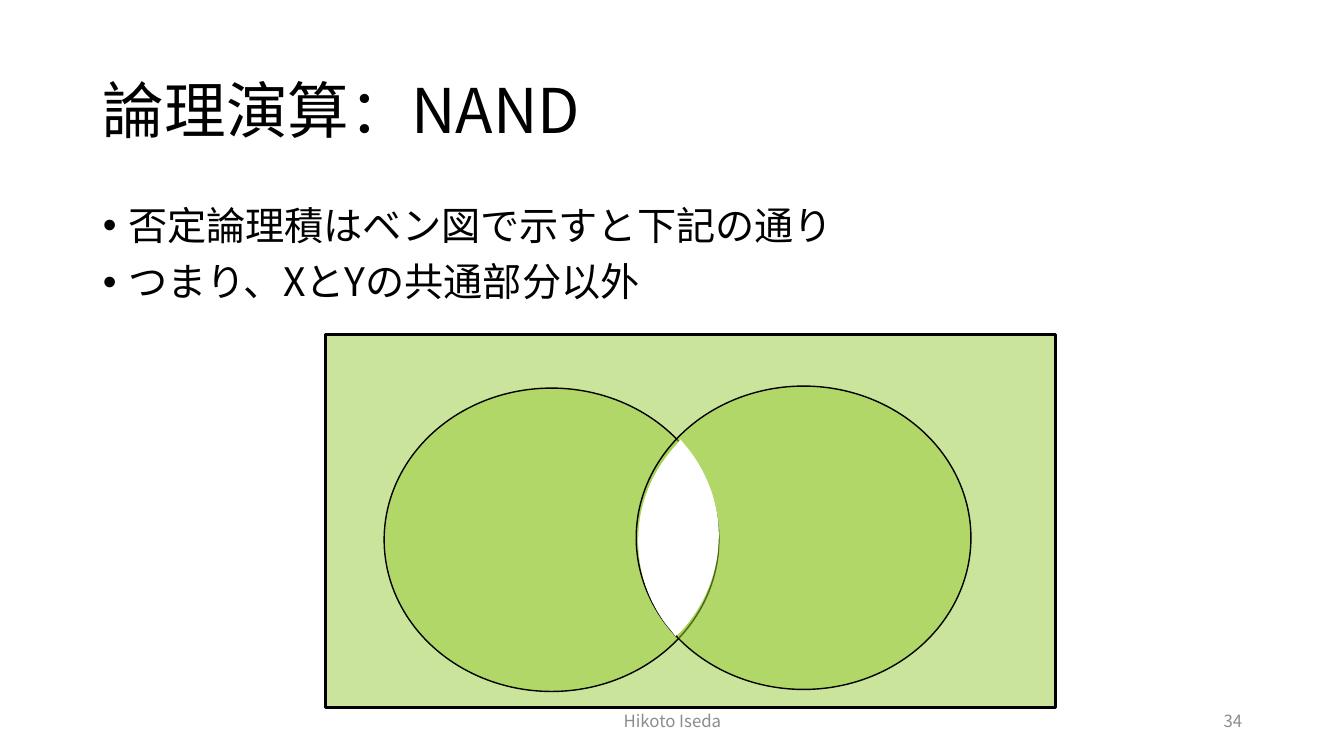
from dataclasses import dataclass

from lxml import etree
from pptx import Presentation
from pptx.dml.color import RGBColor
from pptx.enum.shapes import MSO_SHAPE
from pptx.enum.text import MSO_ANCHOR, MSO_AUTO_SIZE, PP_ALIGN
from pptx.oxml.ns import qn
from pptx.util import Inches, Pt

TITLE = "論理演算：NAND"
TITLE_BOX = (0.92, 0.4, 11.5, 1.45)
POINTS = ["否定論理積はベン図で示すと下記の通り", "つまり、XとYの共通部分以外"]
POINTS_BOX = (0.92, 2, 11.5, 4.76)
FOOTERS = [
    ("Hikoto Iseda", (4.42, 6.95, 4.5, 0.4), PP_ALIGN.CENTER),
    ("34", (9.42, 6.95, 3, 0.4), PP_ALIGN.RIGHT),
]
VENN = [
    (MSO_SHAPE.RECTANGLE, (3.23, 3.32, 7.24, 3.7), 2.25),
    (MSO_SHAPE.OVAL, (3.81, 3.85, 3.32, 3.01), 1),
    (MSO_SHAPE.OVAL, (6.31, 3.83, 3.32, 3.01), 1),
]
# Each side of the overlap: a straight start, then two Bezier curves
OVERLAP_SIDES = [
    [(6.75, 4.36), (6.84, 4.47), (7.02, 4.71), (7.13, 5), (7.13, 5.31),
     (7.13, 5.67), (6.99, 6.01), (6.75, 6.27)],
    [(6.7, 6.31), (6.61, 6.2), (6.43, 5.96), (6.33, 5.67), (6.33, 5.36),
     (6.33, 5), (6.47, 4.67), (6.71, 4.41)],
]
CURVE_STEPS = 16


@dataclass(frozen=True)
class Theme:
    font: str = "Noto Sans CJK JP"
    ink: RGBColor = RGBColor(0, 0, 0)
    muted: RGBColor = RGBColor(0x8C, 0x8C, 0x8C)
    green: RGBColor = RGBColor(0x99, 0xCB, 0x38)
    white: RGBColor = RGBColor(255, 255, 255)
    green_opacity: int = 50
    title_size: int = 44
    point_size: int = 28
    footer_size: int = 12


THEME = Theme()


def place(shape, box):
    shape.left, shape.top, shape.width, shape.height = map(Inches, box)


def prepare_frame(shape, anchor):
    frame = shape.text_frame
    frame.word_wrap = True
    frame.auto_size = MSO_AUTO_SIZE.NONE
    frame.vertical_anchor = anchor
    return frame


def add_text(paragraph, text, size, color):
    run = paragraph.add_run()
    run.text = text
    run.font.name = THEME.font
    run.font.size = Pt(size)
    run.font.color.rgb = color
    latin = run.font._element.find(qn("a:latin"))
    east_asian = etree.Element(qn("a:ea"), typeface=THEME.font)
    latin.addnext(east_asian)


def add_bullet(paragraph):
    properties = paragraph._p.get_or_add_pPr()
    properties.set("marL", str(Inches(0.25)))
    properties.set("indent", str(Inches(-0.25)))
    etree.SubElement(properties, qn("a:buFont"), typeface="Arial")
    etree.SubElement(properties, qn("a:buChar"), char="•")


def add_title(slide):
    title = slide.shapes.title
    place(title, TITLE_BOX)
    paragraph = prepare_frame(title, MSO_ANCHOR.MIDDLE).paragraphs[0]
    paragraph.alignment = PP_ALIGN.LEFT
    paragraph.line_spacing = 0.9
    add_text(paragraph, TITLE, THEME.title_size, THEME.ink)


def add_points(slide):
    body = slide.placeholders[1]
    place(body, POINTS_BOX)
    frame = prepare_frame(body, MSO_ANCHOR.TOP)
    for index, point in enumerate(POINTS):
        paragraph = frame.add_paragraph() if index else frame.paragraphs[0]
        add_bullet(paragraph)
        paragraph.line_spacing = 0.9
        paragraph.space_before = Pt(10 if index else 0)
        add_text(paragraph, point, THEME.point_size, THEME.ink)


def add_footers(slide):
    for text, box, alignment in FOOTERS:
        footer = slide.shapes.add_textbox(*map(Inches, box))
        paragraph = prepare_frame(footer, MSO_ANCHOR.MIDDLE).paragraphs[0]
        paragraph.alignment = alignment
        add_text(paragraph, text, THEME.footer_size, THEME.muted)


def fill_shape(shape, color):
    shape.shadow.inherit = False
    shape.fill.solid()
    shape.fill.fore_color.rgb = color


def add_venn(slide):
    for kind, box, line_width in VENN:
        region = slide.shapes.add_shape(kind, *map(Inches, box))
        fill_shape(region, THEME.green)
        color = region._element.spPr.find(qn("a:solidFill"))[0]
        etree.SubElement(color, qn("a:alpha"), val=str(THEME.green_opacity * 1000))
        region.line.color.rgb = THEME.ink
        region.line.width = Pt(line_width)


def bezier(controls):
    """Return points along a cubic curve, leaving out its start."""
    curve = []
    for step in range(1, CURVE_STEPS + 1):
        t = step / CURVE_STEPS
        weights = ((1 - t) ** 3, 3 * t * (1 - t) ** 2, 3 * t ** 2 * (1 - t), t ** 3)
        curve.append(tuple(sum(w * value for w, value in zip(weights, axis))
                           for axis in zip(*controls)))
    return curve


def add_overlap(slide):
    outline = []
    for side in OVERLAP_SIDES:
        outline += side[:2] + bezier(side[1:5]) + bezier(side[4:8])
    start, *rest = [(Inches(x), Inches(y)) for x, y in outline]
    builder = slide.shapes.build_freeform(*start)
    builder.add_line_segments(rest, close=True)
    overlap = builder.convert_to_shape()
    fill_shape(overlap, THEME.white)
    overlap.line.fill.background()


def main():
    deck = Presentation()
    deck.slide_width, deck.slide_height = Inches(13.33), Inches(7.5)
    slide = deck.slides.add_slide(deck.slide_layouts[1])
    add_title(slide)
    add_points(slide)
    add_footers(slide)
    add_venn(slide)
    add_overlap(slide)
    deck.save("out.pptx")


if __name__ == "__main__":
    main()
